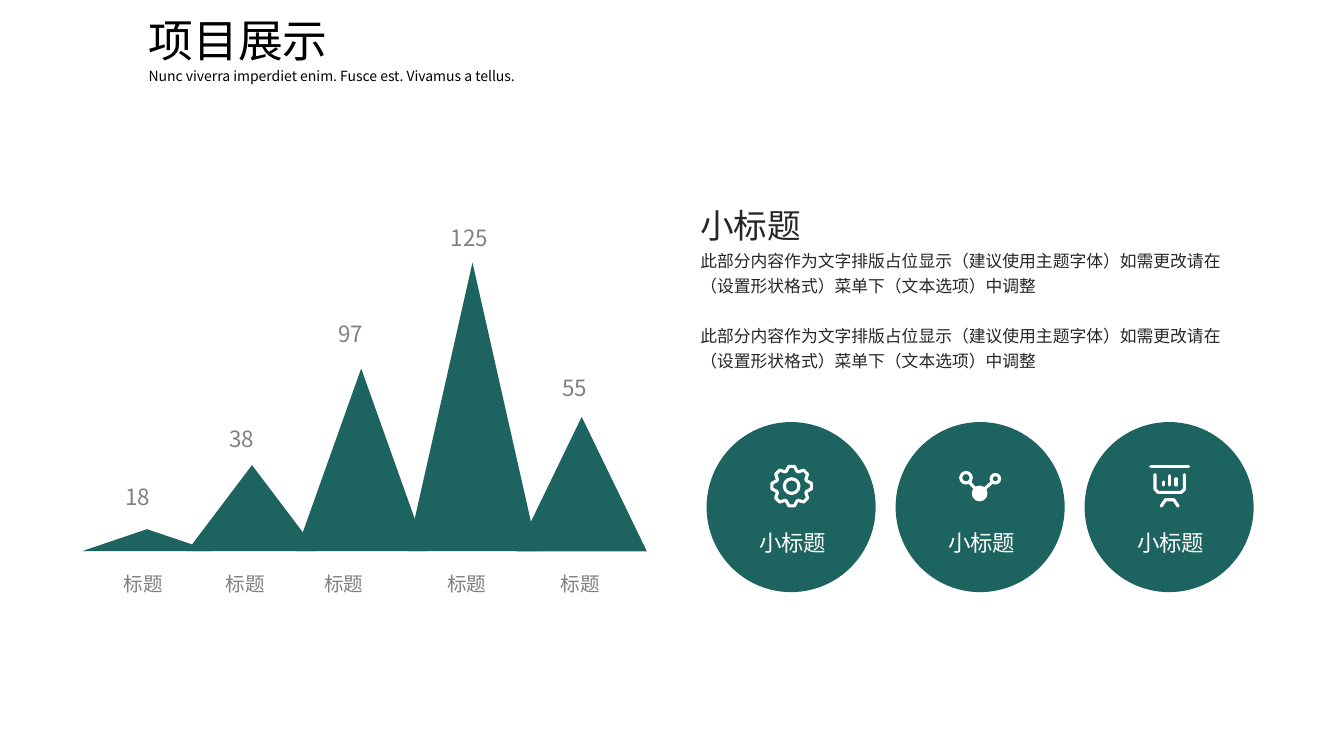
import math
from dataclasses import dataclass

import pptx
import pptx.dml.color
import pptx.enum.shapes
import pptx.enum.text
import pptx.oxml
import pptx.oxml.ns
import pptx.util

PX = 9525  # EMU in one px, 96 px to the inch
FONT = "Noto Sans CJK SC"
COLORS = {"teal": "1D635F", "white": "FFFFFF", "gray": "808080",
          "dark": "262626", "black": "000000"}
BASELINE, PEAK_WIDTH = 525, 124
CIRCLE_LEFT, CIRCLE_TOP, CIRCLE_PITCH = 673, 402, 180
CIRCLE_WIDTH, CIRCLE_HEIGHT = 161, 162
STROKE = 3
CENTER = pptx.enum.text.PP_ALIGN.CENTER
PLACEHOLDER = "此部分内容作为文字排版占位显示（建议使用主题字体）如需更改请在（设置形状格式）菜单下（文本选项）中调整"

Point = tuple[float, float]


@dataclass(frozen=True)
class Peak:
    left: int
    height: int
    value: str
    value_left: int
    value_top: int
    caption_left: int


@dataclass(frozen=True)
class Line:
    text: str
    size: int
    color: str
    spacing: float = 1.0
    before: int = 0
    align: pptx.enum.text.PP_ALIGN | None = None


@dataclass(frozen=True)
class Dot:
    x: int
    y: int
    radius: int
    solid: bool = False


@dataclass(frozen=True)
class Icon:
    """Strokes and dots, measured from the top left of their circle."""
    strokes: tuple[tuple[Point, ...], ...] = ()
    dots: tuple[Dot, ...] = ()
    closed: bool = False


def gear_outline(x: int, y: int, teeth: int = 8) -> tuple[Point, ...]:
    corners = ((-20, 15), (-8, 19), (8, 19), (20, 15))
    turns = [(math.radians(tooth * 360 / teeth + angle), radius)
             for tooth in range(teeth) for angle, radius in corners]
    return tuple((x + radius * math.sin(turn), y - radius * math.cos(turn))
                 for turn, radius in turns)


PEAKS = [
    Peak(78, 21, "18", 110, 455, 108),
    Peak(178, 82, "38", 209, 400, 205),
    Peak(282, 174, "97", 313, 300, 299),
    Peak(388, 275, "125", 420, 209, 416),
    Peak(492, 128, "55", 526, 352, 524),
]
ICONS = [
    Icon((gear_outline(81, 61),), (Dot(81, 61, 7),), closed=True),
    Icon((((70, 57), (80, 68)), ((92, 57), (80, 68))),
         (Dot(67, 53, 5), Dot(95, 54, 4), Dot(80, 68, 6, solid=True))),
    Icon((
        ((63, 42), (99, 42)),
        ((67, 50), (67, 64), (70, 67), (92, 67), (95, 64), (95, 50)),
        ((75, 57), (75, 60)),
        ((81, 51), (81, 60)),
        ((87, 54), (87, 60)),
        ((73, 80), (77, 74), (85, 74), (89, 80)),
    )),
]


def rgb(name: str) -> pptx.dml.color.RGBColor:
    return pptx.dml.color.RGBColor.from_string(COLORS[name])


def add_solid(slide, kind, left: int, top: int, width: int, height: int, color: str):
    shape = slide.shapes.add_shape(kind, left * PX, top * PX, width * PX, height * PX)
    shape.shadow.inherit = False
    shape.fill.solid()
    shape.fill.fore_color.rgb = rgb(color)
    shape.line.fill.background()
    return shape


def draw_stroke(shape) -> None:
    """Give a shape a white line with round ends."""
    shape.line.color.rgb = rgb("white")
    shape.line.width = STROKE * PX
    shape.line._get_or_add_ln().set("cap", "rnd")


def add_text(slide, left: int, top: int, width: int, height: int,
             lines: list[Line], wrap: bool = True, inset: bool = True) -> None:
    box = slide.shapes.add_textbox(left * PX, top * PX, width * PX, height * PX)
    frame = box.text_frame
    frame.word_wrap = wrap
    frame.auto_size = pptx.enum.text.MSO_AUTO_SIZE.SHAPE_TO_FIT_TEXT
    if not inset:
        frame.margin_left = frame.margin_right = 0
        frame.margin_top = frame.margin_bottom = 0
    for index, line in enumerate(lines):
        paragraph = frame.add_paragraph() if index else frame.paragraphs[0]
        paragraph.text = line.text
        paragraph.alignment = line.align
        paragraph.line_spacing = line.spacing
        if line.before:
            paragraph.space_before = pptx.util.Pt(line.before)
        paragraph.font.name = FONT
        paragraph.font.size = pptx.util.Pt(line.size)
        paragraph.font.color.rgb = rgb(line.color)
        latin = paragraph._p.pPr.find(".//" + pptx.oxml.ns.qn("a:latin"))
        east_asian = pptx.oxml.parse_xml(
            f'<a:ea {pptx.oxml.ns.nsdecls("a")} typeface="{FONT}"/>')
        latin.addnext(east_asian)


def add_peak(slide, peak: Peak) -> None:
    add_solid(slide, pptx.enum.shapes.MSO_SHAPE.ISOSCELES_TRIANGLE, peak.left,
              BASELINE - peak.height, PEAK_WIDTH, peak.height, "teal")
    value_width = 19 + 12 * len(peak.value)
    add_text(slide, peak.value_left, peak.value_top, value_width, 36,
             [Line(peak.value, 16, "gray")], wrap=False)
    add_text(slide, peak.caption_left, 540, 57, 33,
             [Line("标题", 14, "gray", align=CENTER)], wrap=False)


def add_stroke(slide, points: list[Point], closed: bool) -> None:
    corners = [(round(x * PX), round(y * PX)) for x, y in points]
    if len(corners) == 2:
        shape = slide.shapes.add_connector(
            pptx.enum.shapes.MSO_CONNECTOR.STRAIGHT, *corners[0], *corners[1])
        shape._element.spPr.append(pptx.oxml.parse_xml(
            f'<a:effectLst {pptx.oxml.ns.nsdecls("a")}/>'))
    else:
        builder = slide.shapes.build_freeform(*corners[0])
        builder.add_line_segments(corners[1:], close=closed)
        shape = builder.convert_to_shape()
        shape.shadow.inherit = False
        shape.fill.background()
    draw_stroke(shape)


def add_icon(slide, icon: Icon, left: int, top: int) -> None:
    for stroke in icon.strokes:
        add_stroke(slide, [(left + x, top + y) for x, y in stroke], icon.closed)
    for dot in icon.dots:
        ring = add_solid(slide, pptx.enum.shapes.MSO_SHAPE.OVAL,
                         left + dot.x - dot.radius, top + dot.y - dot.radius,
                         2 * dot.radius, 2 * dot.radius, "white")
        if not dot.solid:
            ring.fill.background()
        draw_stroke(ring)


def main() -> None:
    presentation = pptx.Presentation()
    presentation.slide_width = 1280 * PX
    presentation.slide_height = 720 * PX
    slide = presentation.slides.add_slide(presentation.slide_layouts[6])

    add_text(slide, 132, 7, 239, 61, [Line("项目展示", 32, "black")])
    add_text(slide, 132, 60, 387, 26, [
        Line("Nunc viverra imperdiet enim. Fusce est. Vivamus a tellus.", 10, "black")])

    for peak in PEAKS:
        add_peak(slide, peak)

    add_text(slide, 667, 176, 526, 178, [
        Line("小标题", 24, "dark", 1.5),
        Line(PLACEHOLDER, 12, "dark", 1.25),
        Line(PLACEHOLDER, 12, "dark", 1.25, before=18),
    ], inset=False)

    for index, icon in enumerate(ICONS):
        left = CIRCLE_LEFT + index * CIRCLE_PITCH
        add_solid(slide, pptx.enum.shapes.MSO_SHAPE.OVAL, left, CIRCLE_TOP,
                  CIRCLE_WIDTH, CIRCLE_HEIGHT, "teal")
        add_icon(slide, icon, left, CIRCLE_TOP)
        add_text(slide, left + 17, CIRCLE_TOP + 97, 130, 27,
                 [Line("小标题", 16, "white", 1.2, align=CENTER)], inset=False)

    presentation.save("out.pptx")


if __name__ == "__main__":
    main()
